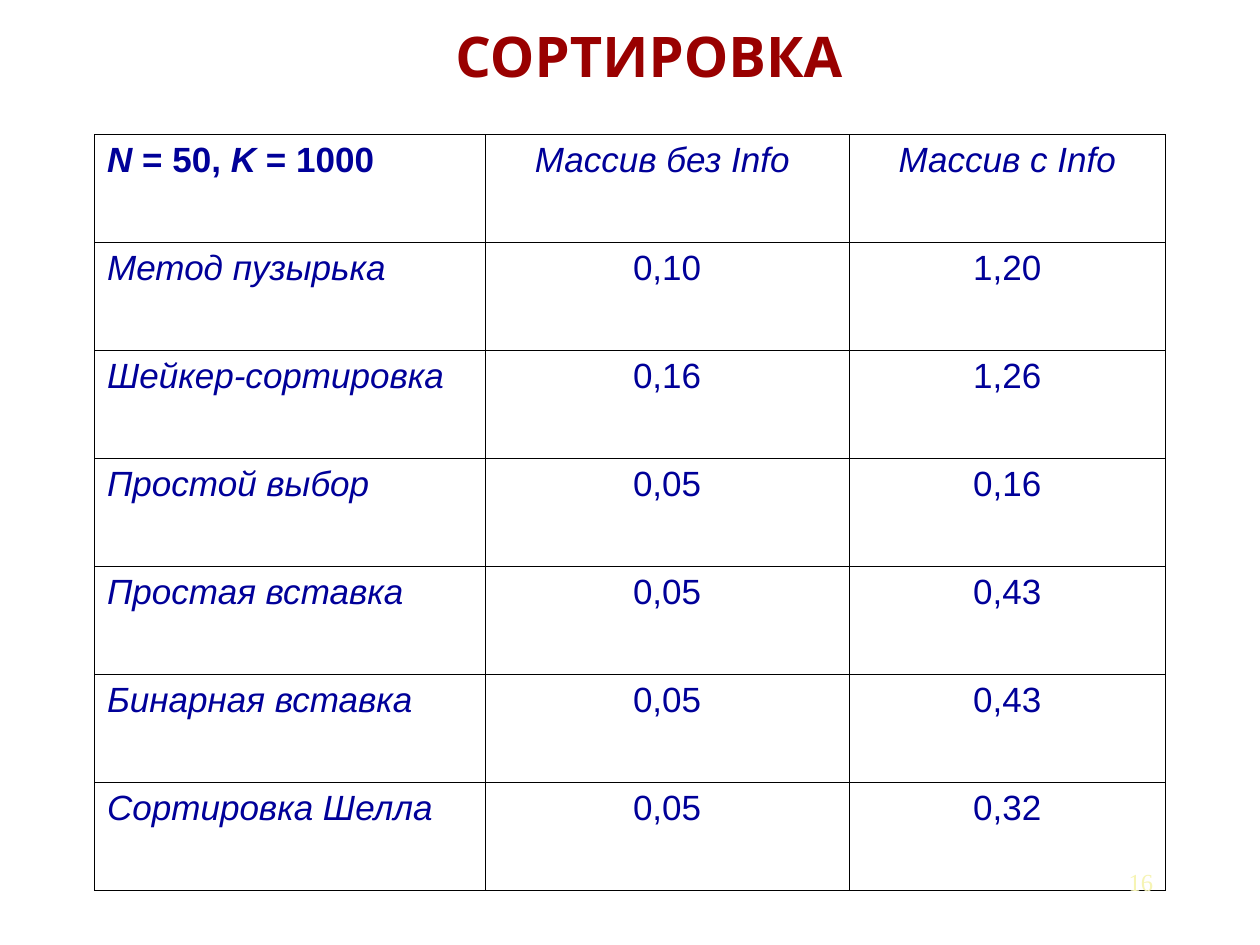
from lxml.etree import SubElement
from pptx import Presentation
from pptx.dml.color import RGBColor
from pptx.enum.text import MSO_ANCHOR, PP_ALIGN
from pptx.oxml.ns import qn
from pptx.util import Inches, Pt

HUES = {"title": "990000", "cell": "000099", "rule": "000000", "page": "F6F4B4"}
HEAD = [
    [("N ", True), ("= 50, ", False), ("K ", True), ("= 1000", False)],
    [("Массив без Info ", True)],
    [("Массив с Info", True)],
]
DATA = [
    ("Метод пузырька", "0,10", "1,20"),
    ("Шейкер-сортировка", "0,16", "1,26"),
    ("Простой выбор", "0,05", "0,16"),
    ("Простая вставка", "0,05", "0,43"),
    ("Бинарная вставка", "0,05", "0,43"),
    ("Сортировка Шелла", "0,05", "0,32"),
]


class Deck:
    """Holds the style and the current slide."""

    def __init__(self):
        self.show = Presentation()
        self.show.slide_width, self.show.slide_height = Inches(10), Inches(7.5)
        self.slide = self.show.slides.add_slide(self.show.slide_layouts[6])

    def run(self, para, text, size, font, hue, bold=False, slant=False):
        run = para.add_run()
        run.text = text
        face = run.font
        face.size, face.name, face.bold, face.italic = Pt(size), font, bold, slant
        face.color.rgb = RGBColor.from_string(HUES[hue])

    def text(self, box, text, size, font, hue, align, pads=(0.1, 0.05, 0.1, 0.05),
             anchor=MSO_ANCHOR.TOP, wrap=True, bold=False):
        frame = self.slide.shapes.add_textbox(*map(Inches, box)).text_frame
        frame.word_wrap, frame.vertical_anchor = wrap, anchor
        (frame.margin_left, frame.margin_top,
         frame.margin_right, frame.margin_bottom) = map(Inches, pads)
        para = frame.paragraphs[0]
        para.alignment = align
        self.run(para, text, size, font, hue, bold)

    def edge(self, cell):
        props = cell._tc.get_or_add_tcPr()
        for side in ("lnL", "lnR", "lnT", "lnB"):
            line = SubElement(props, qn(f"a:{side}"), w=str(Pt(0.45)))
            fill = SubElement(line, qn("a:solidFill"))
            SubElement(fill, qn("a:srgbClr"), val=HUES["rule"])

    def cell(self, cell, runs, align, bold):
        self.edge(cell)
        cell.fill.background()
        para = cell.text_frame.paragraphs[0]
        para.alignment = align
        for text, slant in runs:
            self.run(para, text, 20, "Arial", "cell", bold, slant)

    def table(self, box, widths, rows):
        grid = self.slide.shapes.add_table(
            len(rows), len(widths), *map(Inches, box)).table
        grid.first_row = grid.horz_banding = False
        for col, width in zip(grid.columns, widths):
            col.width = Inches(width)
        for i, row in enumerate(rows):
            for j, runs in enumerate(row):
                align = PP_ALIGN.CENTER if j else PP_ALIGN.LEFT
                self.cell(grid.cell(i, j), runs, align, i == j == 0)


def main():
    deck = Deck()
    deck.text((3.12, 0, 3.67, 0.7), "СОРТИРОВКА", 32, "Cabin", "title",
              PP_ALIGN.CENTER, (0.49, 0.17, 0.1, 0), MSO_ANCHOR.MIDDLE, False, True)
    body = [[[(text, j == 0)] for j, text in enumerate(row)] for row in DATA]
    deck.table((0.75, 1.07, 8.5, 6), (3.1, 2.89, 2.51), [HEAD] + body)
    deck.text((7.17, 6.83, 2.08, 0.5), "16", 14, "Times New Roman", "page",
              PP_ALIGN.RIGHT)
    deck.show.save("out.pptx")


if __name__ == "__main__":
    main()
